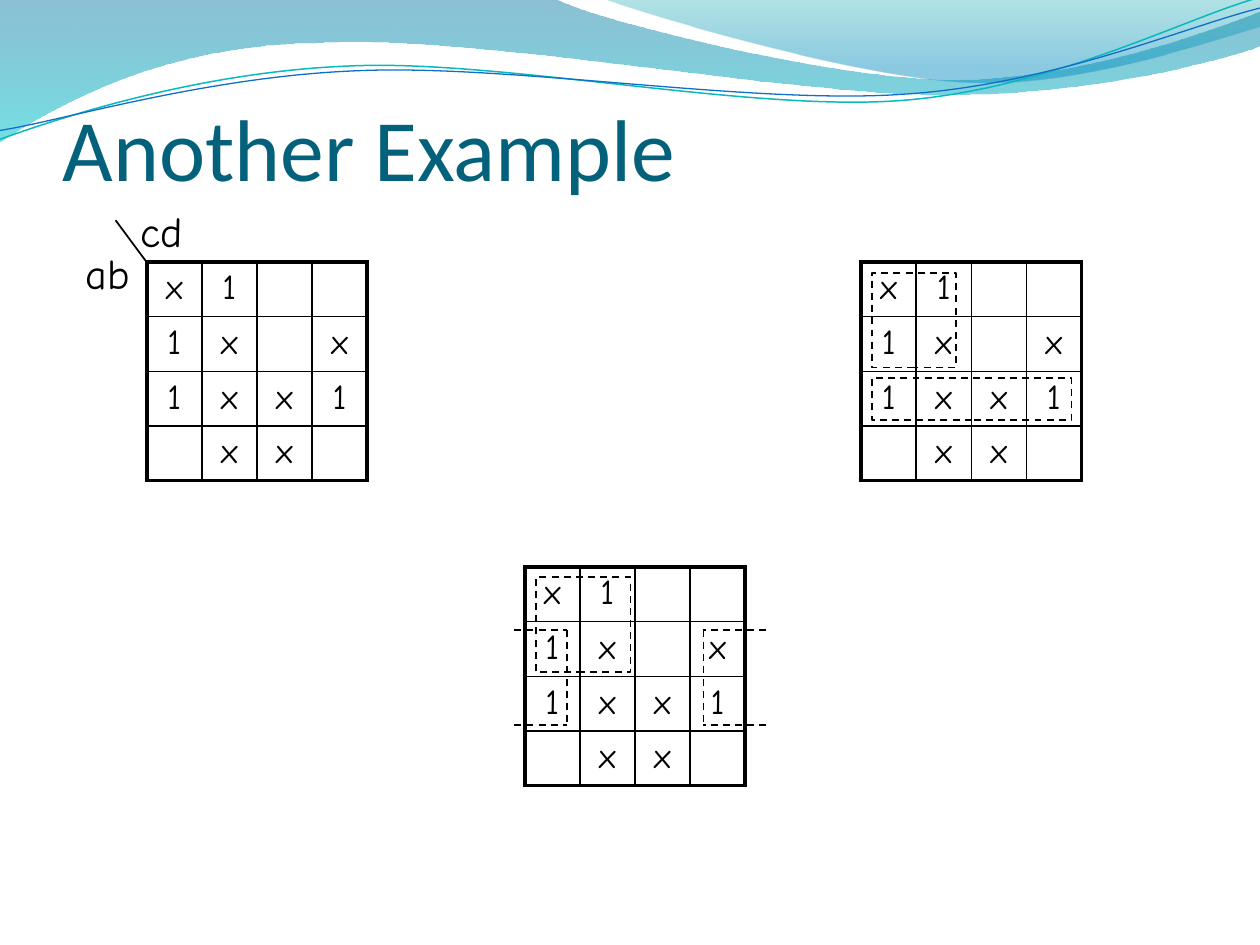
from lxml import etree
from pptx import Presentation
from pptx import util as u
from pptx.dml.color import RGBColor
from pptx.enum import dml, shapes, text
from pptx.oxml import ns

COLORS = {
    "black": "000000", "title": "04617B",
    "deep": "0074A1", "aqua": "00C6CF", "teal": "00A1A9", "sky": "008BBF",
    "teal line": "0AB8BF", "blue line": "0F6FC6",
}
RGB = {name: RGBColor.from_string(value) for name, value in COLORS.items()}

deck = Presentation()
deck.slide_width, deck.slide_height = u.Cm(25.4), u.Cm(19.05)
page = deck.slides.add_slide(deck.slide_layouts[6])


def style_line(shape, color="black", width=1, dashed=False):
    shape.line.color.rgb = RGB[color]
    shape.line.width = u.Pt(width)
    if dashed:
        shape.line.dash_style = dml.MSO_LINE.DASH
    if shape.shape_type == shapes.MSO_SHAPE_TYPE.LINE:
        etree.SubElement(shape._element.spPr, ns.qn("a:effectLst"))
    else:
        shape.shadow.inherit = False


def add_text(left, top, width, height, words, color, font, margins):
    box = page.shapes.add_textbox(u.Cm(left), u.Cm(top), u.Cm(width), u.Cm(height))
    frame = box.text_frame
    frame.word_wrap = True
    for side, size in margins.items():
        setattr(frame, f"margin_{side}", u.Cm(size))
    span = frame.paragraphs[0].add_run()
    span.text = words
    for name, value in font.items():
        setattr(span.font, name, value)
    span.font.color.rgb = RGB[color]
    return frame


# Waves at the top, in tenths of the slide width: each part is a corner (x, y) or
# a cubic curve; a gradient has (position, color, opacity) stops
waves = [
    {"start": (0, -0.01),
     "parts": [(4.4, -0.01), (4.76, 0.17, 6.64, 0.63, 7.58, 0.63),
               (8.53, 0.63, 9.58, 0.26, 10, 0.09), (10.01, 0.36),
               (9.83, 0.44, 8.7, 0.76, 7.46, 0.75),
               (6.22, 0.75, 3.82, 0.28, 2.57, 0.34),
               (1.29, 0.35, 0.46, 0.83, -0.01, 1.13), (0, -0.01)],
     "stops": [(0, "deep", 45), (1, "aqua", 55)]},
    {"start": (4.79, -0.01),
     "parts": [(5.09, 0.11, 6.82, 0.62, 7.69, 0.65),
               (8.56, 0.69, 9.61, 0.32, 10, 0.21), (10, 0), (4.79, -0.01)],
     "stops": [(0, "teal", 30), (0.8, "sky", 45)]},
    {"start": (-0.02, 0.87),
     "parts": [(0.47, 0.72, 1.58, 0.41, 2.78, 0.42),
               (3.96, 0.42, 5.91, 0.93, 7.12, 0.9),
               (8.32, 0.87, 9.4, 0.36, 10, 0.22)],
     "line": ("teal line", 0.85)},
    {"start": (-0.02, 0.8),
     "parts": [(0.46, 0.75, 1.64, 0.45, 2.83, 0.46),
               (4.03, 0.46, 5.96, 0.88, 7.16, 0.85),
               (8.35, 0.83, 9.42, 0.42, 10.02, 0.3)],
     "line": ("blue line", 0.75)},
]
UNITS = 1000
for wave in waves:
    points = [(x * UNITS, y * UNITS)
              for x, y in [wave["start"]] + [part[-2:] for part in wave["parts"]]]
    builder = page.shapes.build_freeform(*points[0], scale=u.Cm(2.54) / UNITS)
    builder.add_line_segments(points[1:], close="stops" in wave)
    shape = builder.convert_to_shape()

    # Bend the straight segments that have control points
    left, top = (min(values) for values in zip(*points))
    segments = shape._element.spPr.findall(".//" + ns.qn("a:lnTo"))
    for segment, part in zip(segments, wave["parts"]):
        if len(part) == 6:
            segment.tag = ns.qn("a:cubicBezTo")
            for index in range(2):
                x, y = part[2 * index:2 * index + 2]
                control = etree.Element(ns.qn("a:pt"), x=str(round(x * UNITS - left)),
                                        y=str(round(y * UNITS - top)))
                segment.insert(index, control)

    if "line" in wave:
        shape.fill.background()
        shape.rotation = 357.3
        style_line(shape, *wave["line"])
        continue
    shape.shadow.inherit = False
    shape.line.fill.background()
    shape.fill.gradient()
    shape.fill.gradient_angle = 270
    for stop, (position, color, _) in zip(shape.fill.gradient_stops, wave["stops"]):
        stop.position = position
        stop.color.rgb = RGB[color]
    tints = shape._element.spPr.findall(".//" + ns.qn("a:srgbClr"))
    for tint, (_, _, opacity) in zip(tints, wave["stops"]):
        etree.SubElement(tint, ns.qn("a:alpha"), val=str(opacity * 1000))

# Title
title = add_text(0, 0.84, 25.4, 3.18, "\tAnother Example", "title",
                 {"name": "Calibri", "size": u.Pt(50)},
                 {"left": 0, "top": 0.13, "right": 0, "bottom": 0})
title.vertical_anchor = text.MSO_ANCHOR.BOTTOM

# Karnaugh maps: thick outer frame, thin inner rules
MAP_ROWS = ["x1  ", "1x x", "1xx1", " xx "]
SIZE = len(MAP_ROWS)
CELL_WIDTH, CELL_HEIGHT = 1.11, 1.1
MAP_FONT = {"name": "Comic Neue", "size": u.Pt(20)}
for left, top in [(2.96, 5.28), (10.58, 11.43), (17.36, 5.28)]:
    frame = page.shapes.add_table(SIZE, SIZE, u.Cm(left), u.Cm(top),
                                  u.Cm(CELL_WIDTH * SIZE), u.Cm(CELL_HEIGHT * SIZE))
    table = frame.table
    table.first_row = table.horz_banding = False
    for row, marks in enumerate(MAP_ROWS):
        for column, mark in enumerate(marks):
            cell = table.cell(row, column)
            properties = cell._tc.get_or_add_tcPr()
            outer = {"lnL": column == 0, "lnR": column == SIZE - 1,
                     "lnT": row == 0, "lnB": row == SIZE - 1}
            for edge, thick in outer.items():
                rule = etree.SubElement(properties, ns.qn(f"a:{edge}"),
                                        w=str(u.Pt(2.25 if thick else 1)))
                fill = etree.SubElement(rule, ns.qn("a:solidFill"))
                etree.SubElement(fill, ns.qn("a:srgbClr"), val=COLORS["black"])
            cell.fill.background()
            if mark == " ":
                continue
            para = cell.text_frame.paragraphs[0]
            para.alignment = text.PP_ALIGN.CENTER
            span = para.add_run()
            span.text = mark
            for name, value in MAP_FONT.items():
                setattr(span.font, name, value)
            span.font.color.rgb = RGB["black"]

# Dashed loops around grouped cells
for left, top, width, height in [(17.58, 5.5, 1.69, 1.91), (17.58, 7.62, 4.02, 0.85),
                                 (10.8, 11.64, 1.91, 1.91)]:
    loop = page.shapes.add_shape(shapes.MSO_SHAPE.RECTANGLE, u.Cm(left), u.Cm(top),
                                 u.Cm(width), u.Cm(height))
    loop.fill.background()
    style_line(loop, dashed=True)

# Open loops that wrap around the lower map, and the axis divider
LOOP_TOP, LOOP_BOTTOM = 12.7, 14.61
lines = []
for outside, inside in [(10.37, 11.43), (15.45, 14.18)]:
    lines += [(outside, LOOP_TOP, inside, LOOP_TOP, True),
              (inside, LOOP_TOP, inside, LOOP_BOTTOM, True),
              (outside, LOOP_BOTTOM, inside, LOOP_BOTTOM, True)]
lines.append((2.96, 5.29, 2.33, 4.44, False))
for *ends, dashed in lines:
    line = page.shapes.add_connector(shapes.MSO_CONNECTOR.STRAIGHT,
                                     *[u.Cm(end) for end in ends])
    style_line(line, dashed=dashed)

# Axis labels
for label, left, top in [("ab", 1.48, 4.87), ("cd", 2.58, 4.02)]:
    frame = add_text(left, top, 1.45, 1.27, label, "black",
                     {"name": "Comic Neue", "size": u.Pt(24)}, {})
    frame.auto_size = text.MSO_AUTO_SIZE.SHAPE_TO_FIT_TEXT

deck.save("out.pptx")
